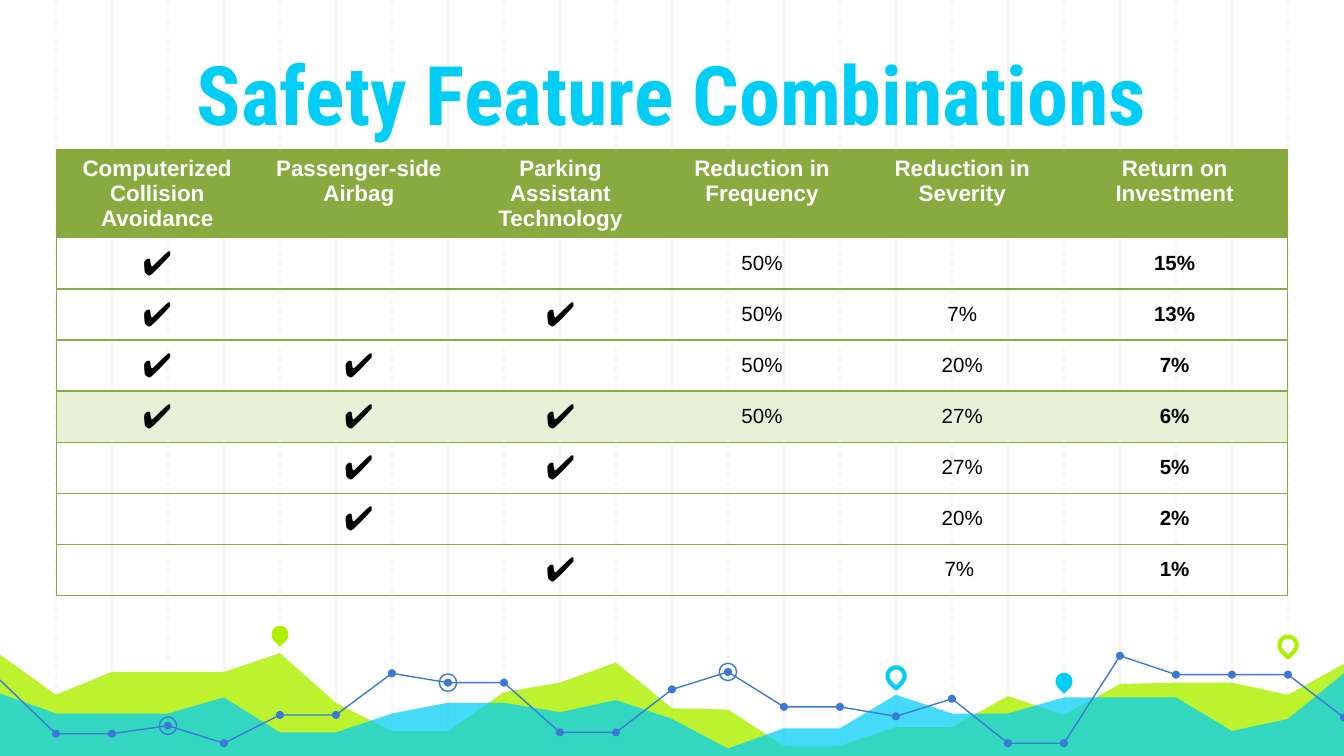
from dataclasses import dataclass
from lxml import etree
from pptx import Presentation
from pptx.dml.color import RGBColor
from pptx.enum.dml import MSO_LINE
from pptx.enum.shapes import MSO_CONNECTOR, MSO_SHAPE as SHAPE
from pptx.enum.text import MSO_ANCHOR as ANCHOR, PP_ALIGN as ALIGN
from pptx.oxml.ns import qn
from pptx.util import Inches, Pt


@dataclass(frozen=True)
class Theme:
    """Colours, fonts and type sizes of the slide."""
    cyan: str = "00CEF6"
    lime: str = "AFF000"
    blue: str = "3C78D8"
    grid: str = "F3F3F3"
    olive: str = "89AA3E"
    pale: str = "E8F0D8"
    white: str = "FFFFFF"
    black: str = "000000"
    title_font: str = "Roboto Condensed"
    body_font: str = "Arial"
    title: int = 44
    header: int = 12
    check: int = 18
    value: int = 11
    thin: float = 0.75
    thick: float = 2.25


T = Theme()
WIDTH = 10
HEIGHT = WIDTH * 9 / 16
STEPS = 24
CHECK = "\u2714"

# Heights in inches, one per grid step
GREEN_HILLS = [4.87, 5.17, 5, 5, 5, 4.86, 5.23, 5.44, 5.44, 5.15, 5.08, 4.93, 5.27,
               5.28, 5.55, 5.55, 5.41, 5.41, 5.18, 5.32, 5.09, 5.08, 5.08, 5.17, 4.94]
CYAN_HILLS = [5.16, 5.31, 5.31, 5.31, 5.19, 5.45, 5.45, 5.31, 5.23, 5.23, 5.3, 5.21, 5.35,
              5.57, 5.42, 5.42, 5.17, 5.31, 5.31, 5.19, 5.19, 5.19, 5.44, 5.35, 5.01]
TREND = [5.06, 5.46, 5.46, 5.4, 5.53, 5.32, 5.32, 5.01, 5.08, 5.08, 5.45, 5.45, 5.13,
         5, 5.26, 5.26, 5.33, 5.2, 5.53, 5.53, 4.88, 5.02, 5.02, 5.02, 5.34]
TREND_PARTS = [(0, 11), (11, 20), (20, 24)]
RINGED = [3, 8, 13]
PINS = [(5, 4.72, T.lime, True), (16, 5.03, T.cyan, False),
        (19, 5.07, T.cyan, True), (23, 4.8, T.lime, False)]

HEADERS = ["Computerized Collision Avoidance", "Passenger-side Airbag",
           "Parking Assistant Technology", "Reduction in Frequency",
           "Reduction in Severity", "Return on Investment"]
ROWS = [[CHECK, "", "", "50%", "", "15%"],
        [CHECK, "", CHECK, "50%", "7%", "13%"],
        [CHECK, CHECK, "", "50%", "20%", "7%"],
        [CHECK, CHECK, CHECK, "50%", "27%", "6%"],
        ["", CHECK, CHECK, "", "27%", "5%"],
        ["", CHECK, "", "", "20%", "2%"],
        ["", "", CHECK, "", "7% ", "1%"]]
HIGHLIGHT = 4
COL_WIDTHS = [1.5, 1.5, 1.5, 1.5, 1.48, 1.68]
HEADER_H, ROW_H = 0.66, 0.38
PLAIN_TABLE = "{2D5ABB26-0587-4C30-8999-92F81FD0307C}"


def rgb(value):
    """Turn a hex string into a colour."""
    return RGBColor.from_string(value)


def paint(sp, fill=None, line=None, width=T.thin, alpha=None):
    """Set fill, outline and opacity (percent), without shadow."""
    sp.shadow.inherit = False
    if fill:
        sp.fill.solid()
        sp.fill.fore_color.rgb = rgb(fill)
        if alpha:
            clr = sp.fill._xPr.find(".//" + qn("a:srgbClr"))
            etree.SubElement(clr, qn("a:alpha"), val=str(alpha * 1000))
    else:
        sp.fill.background()
    if line:
        sp.line.color.rgb = rgb(line)
        sp.line.width = Pt(width)
    else:
        sp.line.fill.background()


def write(p, text, font, size, color, bold):
    """Add one centred run to a paragraph."""
    p.alignment = ALIGN.CENTER
    r = p.add_run()
    r.text = text
    r.font.name, r.font.size, r.font.bold = font, Pt(size), bold
    r.font.color.rgb = rgb(color)


def add_gridlines(shapes, left, top, width, height):
    """Draw vertical lines, dashed on odd steps."""
    for i in range(1, STEPS):
        x = Inches(left + i * width / STEPS)
        line = shapes.add_connector(MSO_CONNECTOR.STRAIGHT, x, Inches(top),
                                    x, Inches(top + height))
        line.line.color.rgb = rgb(T.grid)
        line.line.width = Pt(T.thin)
        if i % 2:
            line.line.dash_style = MSO_LINE.DASH
        etree.SubElement(line._element.spPr, qn("a:effectLst"))


def add_landscape(shapes, left, width, bottom):
    """Draw the hills, the trend line with its dots and rings, and the pins."""
    def x_at(i):
        return left + i * width / STEPS

    def outline(heights, first=0, closed=False):
        points = [(Inches(x_at(i)), Inches(y)) for i, y in enumerate(heights, first)]
        if closed:
            points += [(Inches(x), Inches(bottom)) for x in (left + width, left)]
        builder = shapes.build_freeform(*points[0])
        builder.add_line_segments(points[1:], close=closed)
        return builder.convert_to_shape()

    def marker(kind, i, y, size):
        return shapes.add_shape(kind, Inches(x_at(i) - size / 2), Inches(y - size / 2),
                                Inches(size), Inches(size))

    paint(outline(GREEN_HILLS, closed=True), T.lime, alpha=82)
    paint(outline(CYAN_HILLS, closed=True), T.cyan, alpha=73)
    for i, y, color, solid in PINS:
        pin = marker(SHAPE.TEAR, i, y, 0.13)
        pin.rotation = 135
        paint(pin, color if solid else None, None if solid else color, T.thick)
    for first, last in TREND_PARTS:
        paint(outline(TREND[first:last + 1], first), line=T.blue)
    for i, y in enumerate(TREND[1:], 1):
        paint(marker(SHAPE.OVAL, i, y, 0.06), T.blue)
    for i in RINGED:
        paint(marker(SHAPE.OVAL, i, TREND[i], 0.13), line=T.blue)


def add_title(s, left, top, width, height):
    """Place the title placeholder in front of the background."""
    sp = s.shapes.title
    sp.left, sp.top, sp.width, sp.height = map(Inches, (left, top, width, height))
    tf = sp.text_frame
    tf.word_wrap = True
    tf.vertical_anchor = ANCHOR.BOTTOM
    tf.margin_left = tf.margin_right = tf.margin_top = tf.margin_bottom = Inches(0.1)
    write(tf.paragraphs[0], "Safety Feature Combinations", T.title_font, T.title, T.cyan, True)
    s.shapes._spTree.append(sp._element)


def add_borders(cell, sides):
    """Draw the named cell sides; they precede the fill in the XML."""
    tcPr = cell._tc.get_or_add_tcPr()
    for n, side in enumerate(sides):
        ln = etree.Element(qn("a:ln" + side), w=str(Pt(T.thin)))
        fill = etree.SubElement(ln, qn("a:solidFill"))
        etree.SubElement(fill, qn("a:srgbClr"), val=T.olive)
        tcPr.insert(n, ln)


def add_feature_table(shapes, left, top):
    """Build the table of feature combinations."""
    grid = [HEADERS] + ROWS
    last = len(HEADERS) - 1
    frame = shapes.add_table(len(grid), len(HEADERS), Inches(left), Inches(top),
                             Inches(sum(COL_WIDTHS)), Inches(HEADER_H + ROW_H * len(ROWS)))
    table = frame.table
    table._tbl.tblPr.find(qn("a:tableStyleId")).text = PLAIN_TABLE
    table.horz_banding = False
    for col, width in zip(table.columns, COL_WIDTHS):
        col.width = Inches(width)
    for i, texts in enumerate(grid):
        table.rows[i].height = Inches(ROW_H if i else HEADER_H)
        for j, text in enumerate(texts):
            cell = table.cell(i, j)
            cell.vertical_anchor = ANCHOR.MIDDLE if i else ANCHOR.TOP
            cell.margin_top = cell.margin_bottom = Inches(0.03 if i else 0.05)
            fill = T.olive if i == 0 else T.pale if i == HIGHLIGHT else None
            if fill:
                cell.fill.solid()
                cell.fill.fore_color.rgb = rgb(fill)
            else:
                cell.fill.background()
            add_borders(cell, ["L"] * (j == 0) + ["R"] * (j == last) + ["T", "B"])
            if text:
                size = T.header if i == 0 else T.check if text == CHECK else T.value
                write(cell.text_frame.paragraphs[0], text, T.body_font, size,
                      T.black if i else T.white, i == 0 or j == last)


prs = Presentation()
prs.slide_width, prs.slide_height = Inches(WIDTH), Inches(HEIGHT)
s = prs.slides.add_slide(prs.slide_layouts[5])
add_gridlines(s.shapes, 0, 0, WIDTH, HEIGHT)
add_landscape(s.shapes, 0, WIDTH, HEIGHT)
add_title(s, 0, 0, WIDTH, 1.16)
add_feature_table(s.shapes, 0.42, 1.11)
prs.save("out.pptx")
